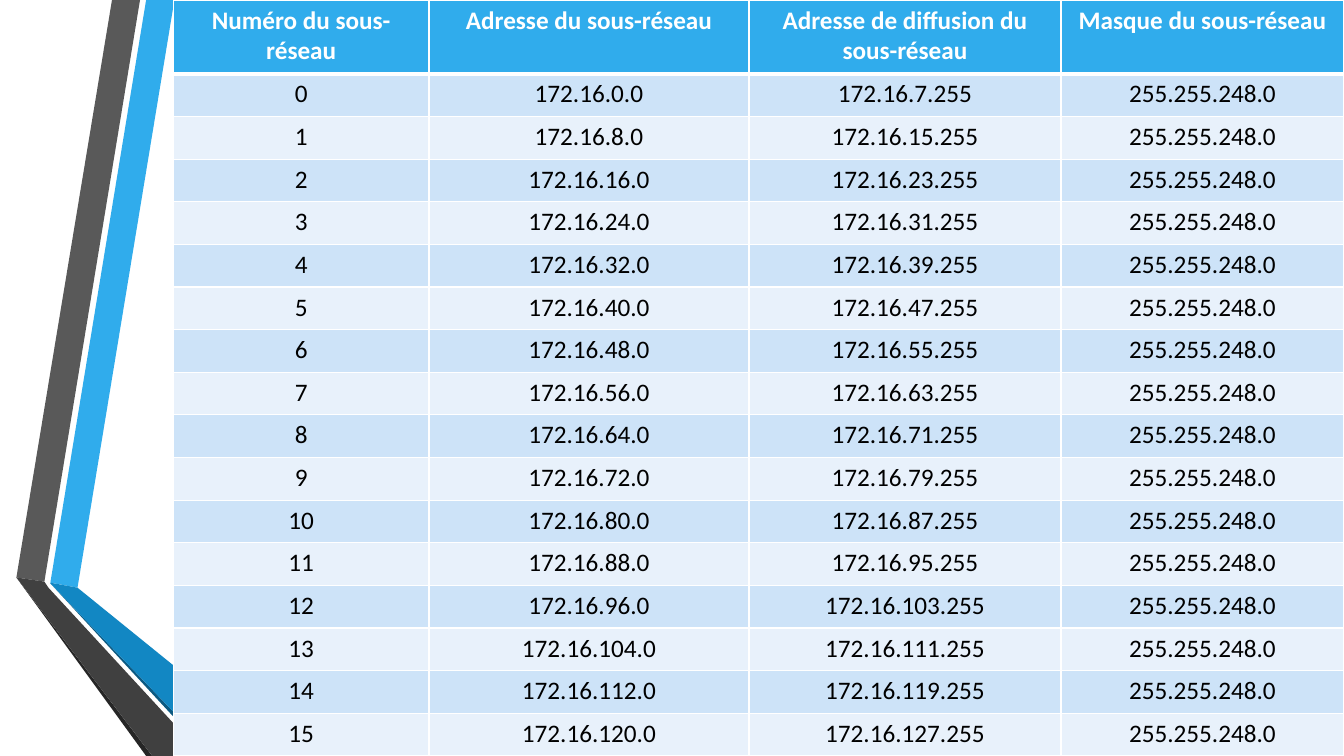
from dataclasses import dataclass

from lxml.etree import SubElement
from pptx import Presentation
from pptx.dml.color import RGBColor as Rgb
from pptx.enum.text import PP_ALIGN as Align
from pptx.oxml.ns import qn
from pptx.util import Pt

COLORS = {
    "white": "FFFFFF", "black": "000000",
    "blue": "30ACEC", "mid_blue": "1287C3", "deep_blue": "0C5A82",
    "gray": "595959", "dark_gray": "404040", "deep_gray": "262626",
    "band_dark": "CDE3F8", "band_light": "E8F1FB",
}
SLIDE_WIDTH, SLIDE_HEIGHT = 960, 540


@dataclass
class Ribbon:
    color: str
    points: list[tuple[float, float]]


@dataclass
class Column:
    heading: str
    width: float


@dataclass
class RowStyle:
    fill: str
    text: str
    bold: bool
    top: float
    bottom: float


RIBBONS = [
    Ribbon("blue", [(36, 416.2), (55.4, 419.8), (124.6, 0), (104.4, 0)]),
    Ribbon("gray", [(100, 0), (80, 0), (11.7, 412.5), (31.7, 415.5)]),
    Ribbon("deep_gray", [(11.7, 412.5), (104.4, 540), (108.7, 540)]),
    Ribbon("deep_blue", [(36, 416.7), (149.8, 540), (154.1, 540)]),
    Ribbon("mid_blue", [(36, 416.7), (154.1, 540), (203.8, 540),
                        (55.4, 419.8), (36, 416.2)]),
    Ribbon("dark_gray", [(145.4, 540), (34.6, 419.8), (31.7, 415.5),
                         (11.7, 412.5), (108.7, 540)]),
]

# Subnet table
COLUMNS = [
    Column("Numéro du sous-réseau", 182.5),
    Column("Adresse du sous-réseau", 228.6),
    Column("Adresse de diffusion du sous-réseau", 222.9),
    Column("Masque du sous-réseau", 202.1),
]
SUBNET_COUNT, SUBNET_SIZE = 16, 8
HEADER_HEIGHT, ROW_HEIGHT = 52.8, 30.45
THIN, THICK = 1, 3


def rgb(name: str) -> Rgb:
    return Rgb.from_string(COLORS[name])


def draw_ribbon(slide, ribbon: Ribbon) -> None:
    start, *others = [(Pt(x), Pt(y)) for x, y in ribbon.points]
    builder = slide.shapes.build_freeform(*start)
    builder.add_line_segments(others, close=True)
    band = builder.convert_to_shape()
    band.fill.solid()
    band.fill.fore_color.rgb = rgb(ribbon.color)
    band.line.fill.background()
    band.shadow.inherit = False


def add_borders(cell, style: RowStyle) -> None:
    properties = cell._tc.get_or_add_tcPr()
    widths = {"lnL": THIN, "lnR": THIN, "lnT": style.top, "lnB": style.bottom}
    for side, width in widths.items():
        border = SubElement(properties, qn(f"a:{side}"), w=str(Pt(width)))
        paint = SubElement(border, qn("a:solidFill"))
        SubElement(paint, qn("a:srgbClr"), val=COLORS["white"])


def fill_cell(cell, text: str, style: RowStyle) -> None:
    add_borders(cell, style)
    cell.fill.solid()
    cell.fill.fore_color.rgb = rgb(style.fill)
    paragraph = cell.text_frame.paragraphs[0]
    paragraph.alignment = Align.CENTER
    run = paragraph.add_run()
    run.text = text
    font_format = {"name": "Calibri", "size": Pt(18), "bold": style.bold}
    for attribute, value in font_format.items():
        setattr(run.font, attribute, value)
    run.font.color.rgb = rgb(style.text)


def subnet_row(number: int) -> list[str]:
    first = number * SUBNET_SIZE
    last = first + SUBNET_SIZE - 1
    return [str(number), f"172.16.{first}.0", f"172.16.{last}.255",
            "255.255.248.0"]


def row_style(index: int) -> RowStyle:
    if index == 0:
        return RowStyle("blue", "white", True, THIN, THICK)
    fill = "band_dark" if index % 2 else "band_light"
    return RowStyle(fill, "black", False, THICK if index == 1 else THIN, THIN)


def draw_subnets(slide) -> None:
    rows = [[column.heading for column in COLUMNS]]
    rows += [subnet_row(number) for number in range(SUBNET_COUNT)]
    width = sum(column.width for column in COLUMNS)
    subnets = slide.shapes.add_table(
        len(rows), len(COLUMNS), Pt(SLIDE_WIDTH - width), Pt(0),
        Pt(width), Pt(SLIDE_HEIGHT)).table
    for grid_column, column in zip(subnets.columns, COLUMNS):
        grid_column.width = Pt(column.width)
    for index, texts in enumerate(rows):
        subnets.rows[index].height = Pt(ROW_HEIGHT if index else HEADER_HEIGHT)
        for position, text in enumerate(texts):
            fill_cell(subnets.cell(index, position), text, row_style(index))


def main() -> None:
    deck = Presentation()
    deck.slide_width, deck.slide_height = Pt(SLIDE_WIDTH), Pt(SLIDE_HEIGHT)
    slide = deck.slides.add_slide(deck.slide_layouts[6])
    # Folded ribbons on the left
    for ribbon in RIBBONS:
        draw_ribbon(slide, ribbon)
    # Table over the ribbons
    draw_subnets(slide)
    deck.save("out.pptx")


if __name__ == "__main__":
    main()
